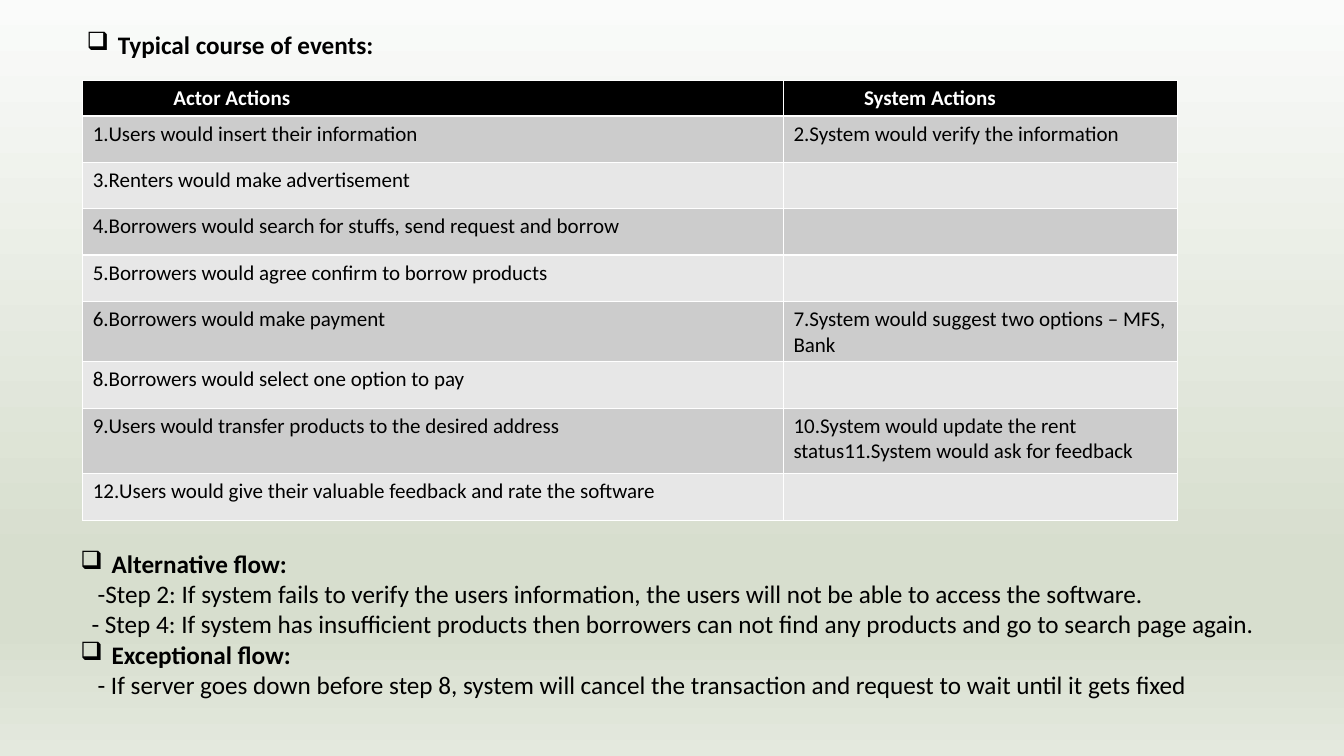
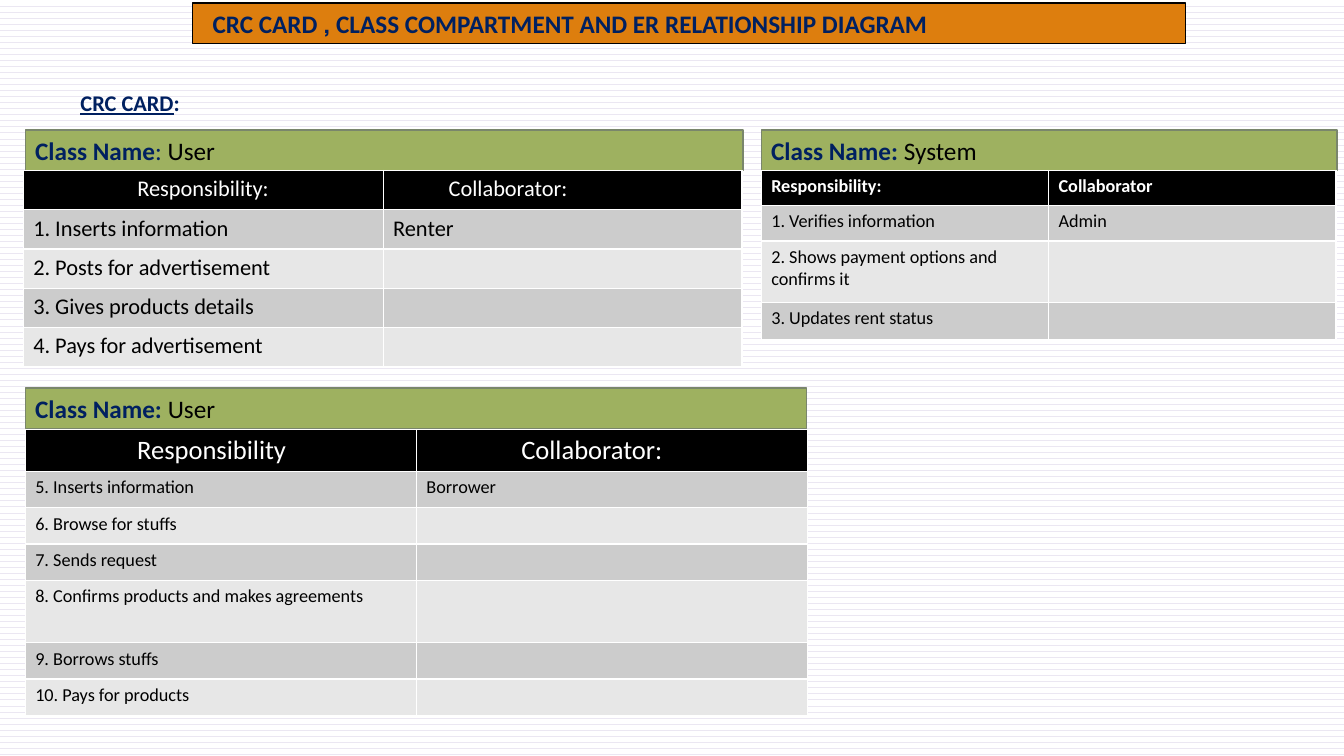
from lxml.etree import SubElement
from pptx import Presentation
from pptx.dml.color import RGBColor
from pptx.enum.dml import MSO_PATTERN
from pptx.enum.shapes import MSO_SHAPE
from pptx.enum.text import MSO_ANCHOR, PP_ALIGN
from pptx.oxml.ns import qn
from pptx.util import Inches, Pt

BLACK, WHITE, NAVY = "000000", "FFFFFF", "002060"
ORANGE, GREEN, OLIVE = "DD7E0E", "9EB160", "7A866C"
BANDS = ("CCCCCC", "E7E7E7")
FONT = "Calibri"


def rgb(code):
    return RGBColor.from_string(code)


class Deck:
    """Holds the shared style and the slide being drawn."""

    def __init__(self):
        self.show = Presentation()
        self.show.slide_width = Inches(13.33)
        self.show.slide_height = Inches(7.5)
        self.slide = None

    def page(self):
        self.slide = self.show.slides.add_slide(self.show.slide_layouts[6])
        return self.slide.background.fill

    def fade(self, stops):
        fill = self.page()
        fill.gradient()
        fill.gradient_angle = 270
        group = next(self.slide.element.iter(qn("a:gsLst")))
        group.clear()
        for place, code in stops:
            stop = SubElement(group, qn("a:gs"), pos=str(place * 1000))
            SubElement(stop, qn("a:srgbClr"), val=code)

    def lines(self, fore, back):
        fill = self.page()
        fill.patterned()
        fill.pattern = MSO_PATTERN.DASHED_HORIZONTAL
        fill.fore_color.rgb = rgb(fore)
        fill.back_color.rgb = rgb(back)

    def style(self, font, color=None, bold=None, under=None, name=None):
        if color:
            font.color.rgb = rgb(color)
        if name:
            font.name = name
        if bold is not None:
            font.bold = bold
        if under is not None:
            font.underline = under

    def put(self, para, runs, size=18, color=BLACK, bold=False,
            left=0, mark=None, align=PP_ALIGN.LEFT):
        para.alignment = align
        props = para._p.get_or_add_pPr()
        if left:
            props.set("marL", str(Inches(left)))
        if mark:
            props.set("indent", str(-Inches(0.31)))
            SubElement(props, qn("a:buChar"), char=mark)
        para.font.size = Pt(size)
        self.style(para.font, color, bold, name=FONT)
        if not runs:
            SubElement(para._p, qn("a:endParaRPr"), sz=str(size * 100))
            return
        for text, look in [(runs, {})] if isinstance(runs, str) else runs:
            run = para.add_run()
            run.text = text
            self.style(run.font, **look)

    def text(self, box, paras):
        frame = self.slide.shapes.add_textbox(*map(Inches, box)).text_frame
        frame.word_wrap = True
        for index, (runs, look) in enumerate(paras):
            para = frame.add_paragraph() if index else frame.paragraphs[0]
            self.put(para, runs, **look)

    def band(self, box, fill, line, runs, **look):
        shape = self.slide.shapes.add_shape(
            MSO_SHAPE.RECTANGLE, *map(Inches, box))
        shape.shadow.inherit = False
        shape.fill.solid()
        shape.fill.fore_color.rgb = rgb(fill)
        shape.line.color.rgb = rgb(line)
        shape.line.width = Pt(1)
        shape.text_frame.word_wrap = True
        shape.text_frame.vertical_anchor = MSO_ANCHOR.MIDDLE
        self.put(shape.text_frame.paragraphs[0], runs, **look)

    def table(self, left, top, cols, rows, cells, heads, size, head):
        grid = self.slide.shapes.add_table(
            len(rows), len(cols), Inches(left), Inches(top),
            Inches(sum(cols)), Inches(sum(rows))).table
        for col, width in zip(grid.columns, cols):
            col.width = Inches(width)
        for row, height in zip(grid.rows, rows):
            row.height = Inches(height)
        for r, row in enumerate(cells):
            for c, text in enumerate(row):
                cell = grid.cell(r, c)
                cell.fill.solid()
                cell.fill.fore_color.rgb = rgb(
                    BANDS[(r - 1) % 2] if r else BLACK)
                look = {"size": size} if r else {
                    "color": WHITE, **head, **heads[c]}
                self.put(cell.text_frame.paragraphs[0], text, **look)

    def card(self, left, top, width, runs):
        self.band((left, top, width, 0.4), GREEN, OLIVE, runs)


def events(deck):
    deck.fade([(0, "FAFBFA"), (74, "D7DECE"), (83, "D7DECE"), (100, "E4E9DE")])
    topic = {"bold": True, "mark": "❑"}
    deck.text((0.26, 0.24, 9.69, 0.4),
              [("Typical course of events:", {**topic, "left": 0.81})])
    deck.table(
        0.82, 0.8, (6.95, 3.91),
        (0.35, 0.46, 0.46, 0.46, 0.46, 0.59, 0.46, 0.65, 0.46),
        [("Actor Actions", "System Actions"),
         ("1.Users would insert their information",
          "2.System would verify the information"),
         ("3.Renters would make advertisement", ""),
         ("4.Borrowers would search for stuffs, send request and borrow", ""),
         ("5.Borrowers would agree confirm to borrow products", ""),
         ("6.Borrowers would make payment",
          "7.System would suggest two options – MFS, Bank"),
         ("8.Borrowers would select one option to pay", ""),
         ("9.Users would transfer products to the desired address",
          "10.System would update the rent status"
          "11.System would ask for feedback"),
         ("12.Users would give their valuable feedback and rate the software",
          "")],
        ({"left": 0.8}, {"left": 0.7}), 15, {"size": 15, "bold": True})
    full = {"align": PP_ALIGN.JUSTIFY}
    topic = {**topic, **full, "left": 0.31}
    deck.text((0.7, 5.39, 12.56, 1.62), [
        ("Alternative flow:", topic),
        ("-Step 2: If system fails to verify the users information, "
         "the users will not be able to access the software.",
         {**full, "left": 0.17}),
        ("- Step 4: If system has insufficient products then borrowers can "
         "not find any products and go to search page again.",
         {**full, "left": 0.11}),
        ("Exceptional flow:", topic),
        ("- If server goes down before step 8, system will cancel the "
         "transaction and request to wait until it gets fixed",
         {**full, "left": 0.17})])


def cards(deck):
    deck.lines("EBE7F2", WHITE)
    deck.band((1.91, 0.03, 9.85, 0.4), ORANGE, BLACK,
              [("CRC CARD ", {}), (",", {"name": "TeX Gyre Adventor"}),
               (" CLASS COMPARTMENT AND ER RELATIONSHIP DIAGRAM", {})],
              color=NAVY, bold=True, left=0.1)
    deck.text((0.7, 0.84, 6.67, 0.37), [
        ([("CRC CARD", {"under": True}), (":", {})],
         {"size": 16, "color": NAVY, "bold": True})])
    label = {"color": NAVY, "bold": True}

    deck.card(0.25, 1.29, 7.12, [
        ("Class Name", label), (": ", {"color": NAVY}), ("User", {})])
    deck.table(
        0.23, 1.69, (3.57, 3.56), [0.39] * 5,
        [("Responsibility:", "Collaborator:"),
         ("1. Inserts information", "Renter"),
         ("2. Posts for advertisement", ""),
         ("3. Gives products details", ""),
         ("4. Pays for advertisement", "")],
        ({"align": PP_ALIGN.CENTER}, {"left": 0.55}), 16, {"size": 16})

    deck.card(0.25, 3.85, 7.75, [("Class Name: ", label), ("User", {})])
    deck.table(
        0.25, 4.26, (3.88, 3.88), (0.41, 0.36, 0.36, 0.36, 0.62, 0.36, 0.36),
        [("Responsibility", "Collaborator:"),
         ("5. Inserts information", "Borrower"),
         ("6. Browse for stuffs", ""),
         ("7. Sends request", ""),
         ("8. Confirms products and makes agreements", ""),
         ("9. Borrows stuffs", ""),
         ("10. Pays for products", "")],
        ({"left": 1.01}, {"left": 0.94}), 13, {"size": 19})

    deck.card(7.55, 1.29, 5.71, [("Class Name: ", label), ("System", {})])
    deck.table(
        7.55, 1.69, (2.85, 2.85), (0.35, 0.35, 0.61, 0.37),
        [("Responsibility:", "Collaborator"),
         ("1. Verifies information", "Admin"),
         ("2. Shows payment options and confirms it", ""),
         ("3. Updates rent status", "")],
        ({}, {}), 13, {"size": 13, "bold": True})


def main():
    deck = Deck()
    events(deck)
    cards(deck)
    deck.show.save("out.pptx")


if __name__ == "__main__":
    main()
